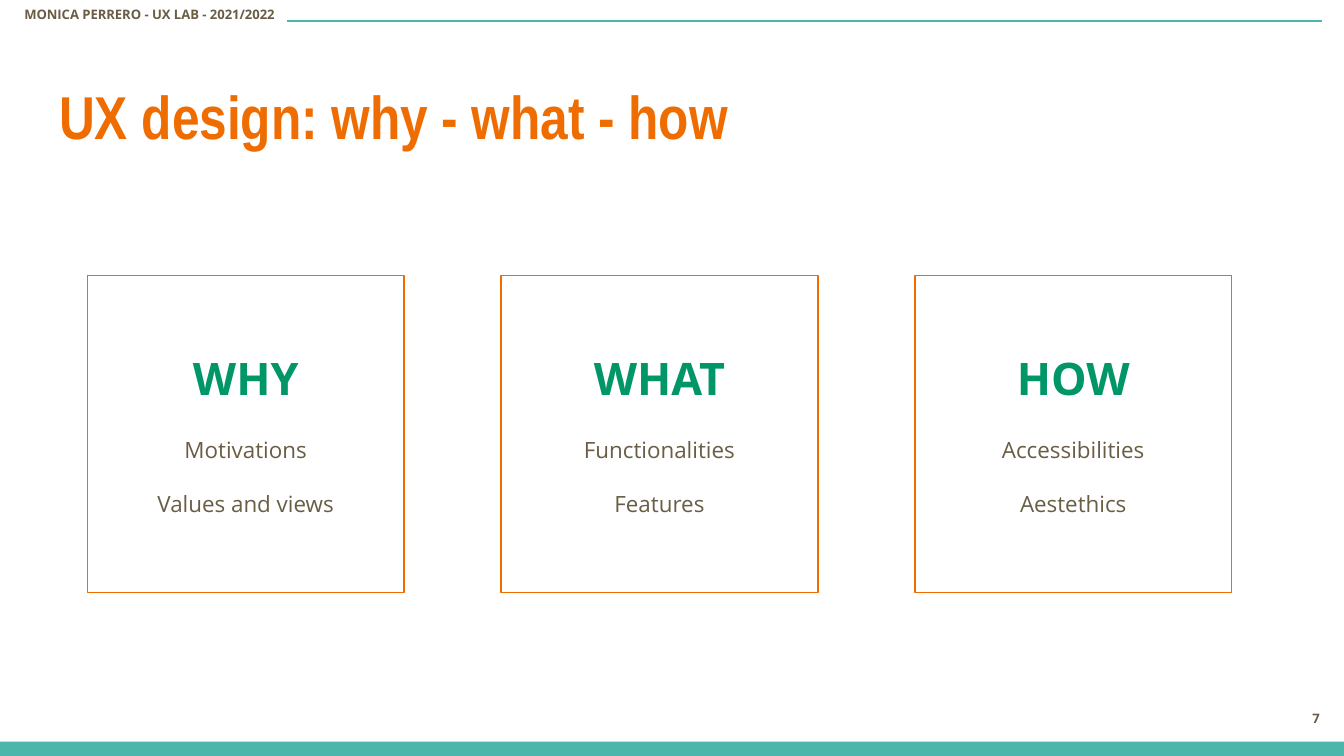
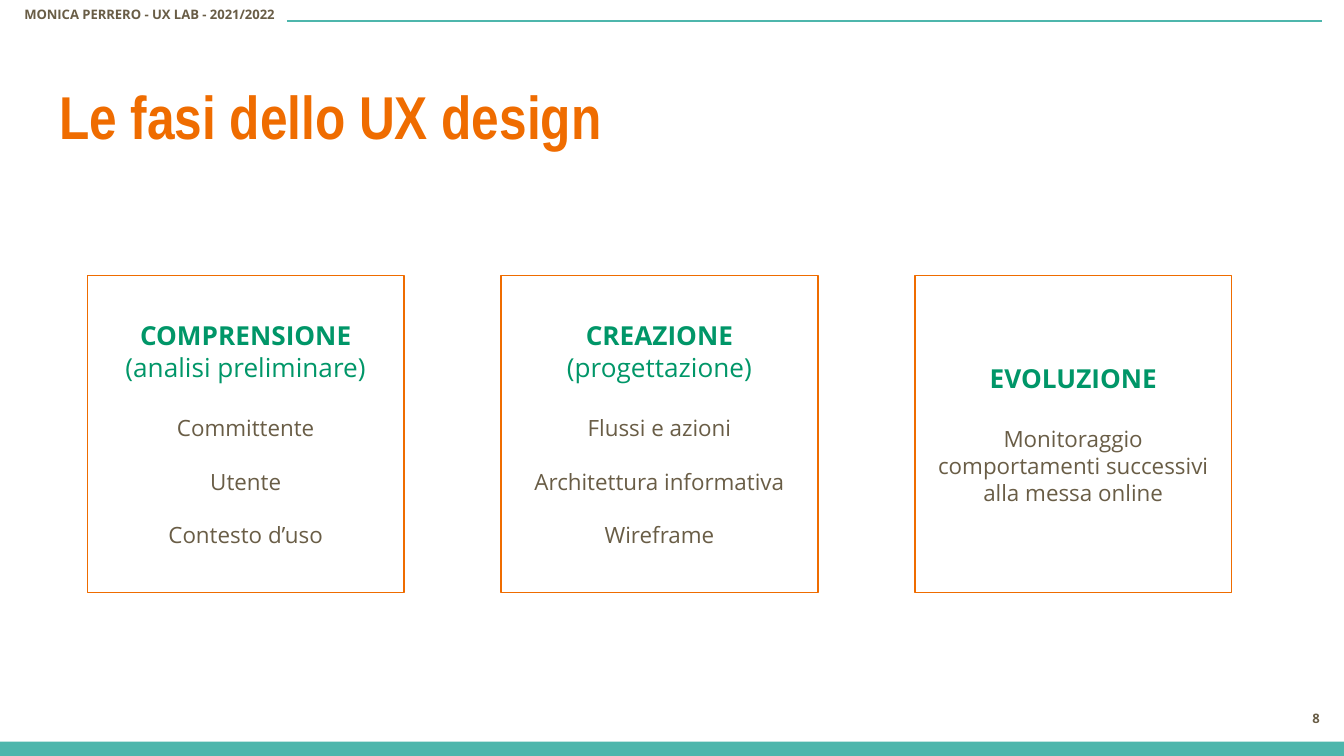
from lxml.etree import SubElement
from pptx import Presentation
from pptx.dml.color import RGBColor
from pptx.enum.shapes import MSO_CONNECTOR, MSO_SHAPE
from pptx.enum.text import MSO_ANCHOR, PP_ALIGN
from pptx.oxml.ns import qn
from pptx.util import Cm, Pt

# Content: each card is (heading, subheading, items)
HEADER = "MONICA PERRERO - UX LAB - 2021/2022"
SLIDES = [
    {"title": "UX design: why - what - how", "number": 7, "heading_size": 24, "cards": [
        ("WHY", None, ["Motivations", "Values and views"]),
        ("WHAT", None, ["Functionalities", "Features"]),
        ("HOW", None, ["Accessibilities", "Aestethics"]),
    ]},
    {"title": "Le fasi dello UX design", "number": 8, "heading_size": 14, "cards": [
        ("COMPRENSIONE", "(analisi preliminare)",
         ["Committente", "Utente", "Contesto d’uso"]),
        ("CREAZIONE", "(progettazione)",
         ["Flussi e azioni", "Architettura informativa", "Wireframe"]),
        ("EVOLUZIONE", None,
         ["Monitoraggio comportamenti successivi alla messa online"]),
    ]},
]

# Shared style
ORANGE, GREEN, BROWN, TEAL = "EF6C00", "009668", "695D46", "4DB6AC"
BODY_FONT, TITLE_FONT = "Open Sans", "Arial Narrow"
PAGE_WIDTH, PAGE_HEIGHT, BAND_HEIGHT = 25.4, 14.29, 0.27
CARD_LEFT, CARD_TOP, CARD_SIZE, CARD_GAP = 1.65, 5.21, 5.99, 1.83
HEADING_GAP, ITEM_GAP = 17, 14.4


def color(hex_string):
    return RGBColor.from_string(hex_string)


def style(para, size, hex_string, bold=False, font=BODY_FONT, align=PP_ALIGN.LEFT):
    para.alignment = align
    para.font.name = font
    para.font.size = Pt(size)
    para.font.bold = bold
    para.font.color.rgb = color(hex_string)


def prepare_frame(shape, anchor):
    frame = shape.text_frame
    frame.word_wrap = True
    frame.vertical_anchor = anchor
    frame.margin_left = frame.margin_right = Cm(0.25)
    frame.margin_top = frame.margin_bottom = Cm(0.25)
    return frame


def add_text(page, text, place, anchor=MSO_ANCHOR.TOP, **look):
    box = page.shapes.add_textbox(*map(Cm, place))
    frame = prepare_frame(box, anchor)
    frame.text = text
    style(frame.paragraphs[0], **look)


def add_rectangle(page, place, fill=None, line=None):
    shape = page.shapes.add_shape(MSO_SHAPE.RECTANGLE, *map(Cm, place))
    shape.shadow.inherit = False
    if fill:
        shape.fill.solid()
        shape.fill.fore_color.rgb = color(fill)
    else:
        shape.fill.background()
    if line:
        shape.line.color.rgb = color(line)
        shape.line.width = Pt(0.75)
    else:
        shape.line.fill.background()
    return shape


def add_frame_elements(page, title, number):
    # Bottom band, running header with its rule, page number and title
    add_rectangle(page, (0, PAGE_HEIGHT - BAND_HEIGHT, PAGE_WIDTH, BAND_HEIGHT), fill=TEAL)
    add_text(page, HEADER, (0.21, -0.02, 6.22, 0.81), size=7, hex_string=BROWN, bold=True)
    rule = page.shapes.add_connector(
        MSO_CONNECTOR.STRAIGHT, Cm(5.42), Cm(0.4), Cm(24.99), Cm(0.4))
    rule.line.color.rgb = color(TEAL)
    rule.line.width = Pt(0.75)
    SubElement(rule.element.spPr, qn("a:effectLst"))
    add_text(page, str(number), (23.67, 13.03, 1.52, 1.09), MSO_ANCHOR.MIDDLE,
             size=7, hex_string=BROWN, bold=True, align=PP_ALIGN.RIGHT)
    add_text(page, title, (0.87, 1.25, 23.67, 1.96),
             size=32.4, hex_string=ORANGE, bold=True, font=TITLE_FONT)


def add_card(page, column, card, heading_size):
    heading, subheading, items = card
    left = CARD_LEFT + column * (CARD_SIZE + CARD_GAP)
    shape = add_rectangle(page, (left, CARD_TOP, CARD_SIZE, CARD_SIZE), line=ORANGE)
    frame = prepare_frame(shape, MSO_ANCHOR.MIDDLE)

    para = frame.paragraphs[0]
    para.text = heading
    style(para, heading_size, GREEN, bold=True, align=PP_ALIGN.CENTER)
    if subheading:
        para = frame.add_paragraph()
        para.text = subheading
        style(para, heading_size, GREEN, align=PP_ALIGN.CENTER)
    for index, item in enumerate(items):
        para = frame.add_paragraph()
        para.text = item
        para.space_before = Pt(ITEM_GAP if index else HEADING_GAP)
        style(para, 12, BROWN, align=PP_ALIGN.CENTER)


def main():
    deck = Presentation()
    deck.slide_width, deck.slide_height = Cm(PAGE_WIDTH), Cm(PAGE_HEIGHT)
    for content in SLIDES:
        page = deck.slides.add_slide(deck.slide_layouts[6])
        add_frame_elements(page, content["title"], content["number"])
        for column, card in enumerate(content["cards"]):
            add_card(page, column, card, content["heading_size"])
    deck.save("out.pptx")


if __name__ == "__main__":
    main()
